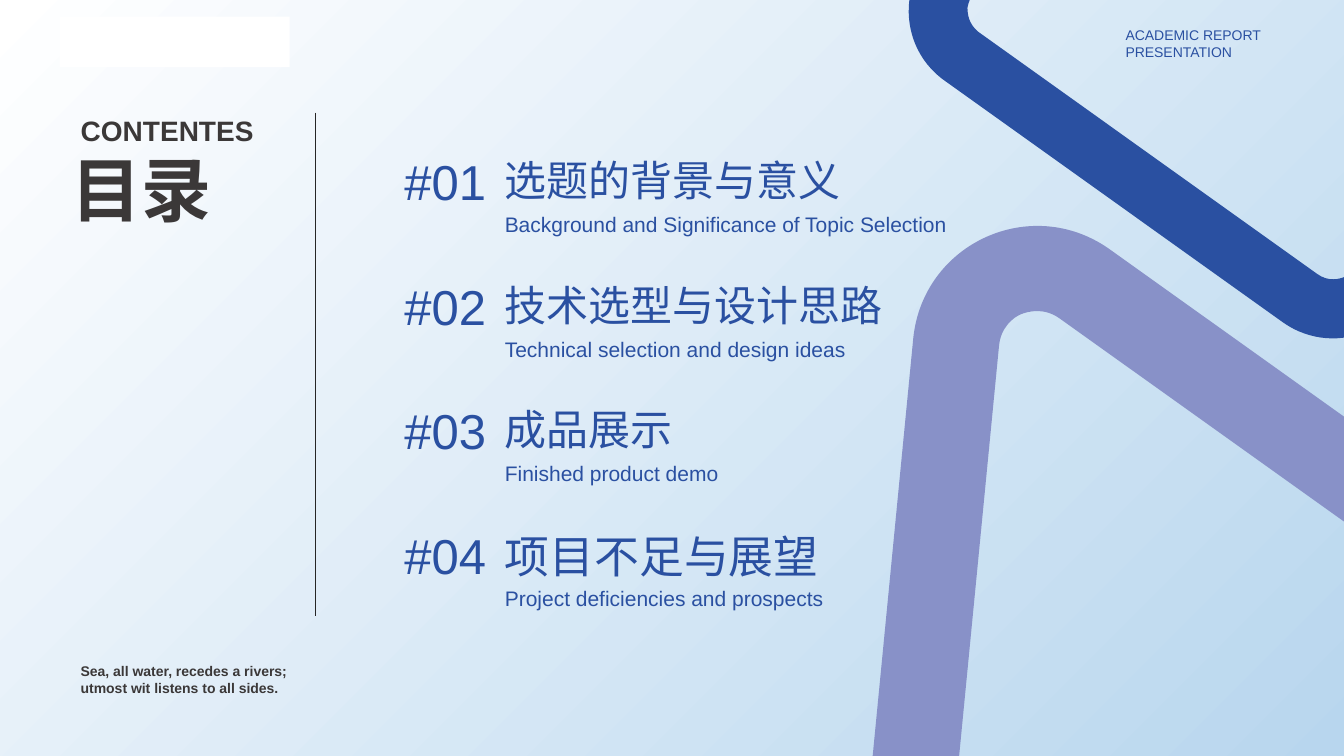
from dataclasses import dataclass
from math import cos, radians, sin
from lxml.etree import SubElement
from pptx import Presentation
from pptx.dml.color import RGBColor
from pptx.enum.shapes import MSO_CONNECTOR, MSO_SHAPE
from pptx.enum.text import MSO_ANCHOR, MSO_AUTO_SIZE, PP_ALIGN
from pptx.oxml.ns import qn
from pptx.util import Emu, Pt

COLS, ROWS = 160, 90
CELL = 76200
BLUE, LILAC, DARK, WHITE = "2A50A1", "8891C8", "3B3838", "FFFFFF"
FONT = "Arial"
TOPIC_PITCH = 14.82
TILT = 35.6
RING_CENTER = (12.59, -0.15)
RING_SIZE = (6.26, 5.28)
UNITS = 1000

Point = tuple[float, float]
Segment = tuple[Point, ...]


@dataclass
class Topic:
    name: str
    name_cols: float
    subtitle: str
    subtitle_cols: float
    size: float = 30


@dataclass
class Label:
    lines: list[str]
    box: tuple[float, float, float, float]
    size: float
    color: str
    bold: bool = False
    align: PP_ALIGN = PP_ALIGN.LEFT


@dataclass
class Ribbon:
    color: str
    col: float
    row: float
    scale: float
    rotation: float


TOPICS = [
    Topic("选题的背景与意义", 40.4, "Background and Significance of Topic Selection", 53.3),
    Topic("技术选型与设计思路", 35.4, "Technical selection and design ideas", 38.8),
    Topic("成品展示", 45.5, "Finished product demo", 50.3),
    Topic("项目不足与展望", 35.4, "Project deficiencies and prospects", 32.3, 32),
]
TITLE = Label(["目录"], (8.5, 17.4, 16.9, 10.1), 50, DARK, True)
LABELS = [
    Label(["CONTENTES"], (9.6, 13.5, 20.8, 4.1), 20, DARK, True),
    Label(["ACADEMIC REPORT", "PRESENTATION"], (134, 3.2, 16.3, 4.1), 10, BLUE),
    Label(["Sea, all water, recedes a rivers;", "utmost wit listens to all sides."],
          (9.6, 78.9, 24.8, 4.1), 10, DARK, True, PP_ALIGN.JUSTIFY),
]
RIBBONS = [
    Ribbon(BLUE, 113.5, -33.5, 1, TILT),
    Ribbon(LILAC, 80.4, 41.9, 1.44, TILT + 180),
]
OUTER_EDGE: list[Segment] = [
    ((14.08, 2.59),),
    ((14.48, -1.52),) * 3,
    ((14.51, -1.85), (14.36, -2.13), (14.12, -2.3)),
    ((13.89, -2.46), (13.57, -2.52), (13.27, -2.38)),
    ((9.52, -0.67),) * 3,
    ((8.92, -0.4), (8.84, 0.42), (9.37, 0.8)),
    ((12.73, 3.2),) * 3,
    ((13.27, 3.58), (14.01, 3.24), (14.08, 2.59)),
]
INNER_EDGE: list[Segment] = [
    ((13.34, 2.75),),
    ((13.29, 2.77), (13.18, 2.8), (13.07, 2.72)),
    ((9.71, 0.32),) * 3,
    ((9.61, 0.24), (9.6, 0.14), (9.6, 0.08)),
    ((9.61, 0.02), (9.64, -0.08), (9.76, -0.14)),
    ((13.52, -1.85),) * 3,
    ((13.64, -1.9), (13.74, -1.85), (13.78, -1.82)),
    ((13.83, -1.79), (13.91, -1.71), (13.89, -1.58)),
    ((13.49, 2.53),) * 3,
    ((13.48, 2.66), (13.39, 2.73), (13.34, 2.75)),
]


def cells(n: float) -> Emu:
    return Emu(round(n * CELL))


def rgb(color: str) -> RGBColor:
    return RGBColor.from_string(color)


def write(sp, label: Label) -> None:
    sp.left, sp.top, sp.width, sp.height = map(cells, label.box)
    tf = sp.text_frame
    tf.margin_left = tf.margin_top = tf.margin_right = tf.margin_bottom = 0
    tf.word_wrap = False
    tf.auto_size = MSO_AUTO_SIZE.NONE
    tf.vertical_anchor = MSO_ANCHOR.TOP
    for i, line in enumerate(label.lines):
        p = tf.add_paragraph() if i else tf.paragraphs[0]
        p.alignment = label.align
        r = p.add_run()
        r.text = line
        r.font.name = FONT
        r.font.size = Pt(label.size)
        r.font.bold = label.bold
        r.font.color.rgb = rgb(label.color)


def add_label(s, label: Label) -> None:
    write(s.shapes.add_textbox(*map(cells, label.box)), label)


def add_panel(s, box: tuple[float, float, float, float]):
    sp = s.shapes.add_shape(MSO_SHAPE.RECTANGLE, *map(cells, box))
    sp.shadow.inherit = False
    sp.line.fill.background()
    return sp


def untilt(pt: Point) -> tuple[int, int]:
    a = radians(TILT)
    dx, dy = pt[0] - RING_CENTER[0], pt[1] - RING_CENTER[1]
    x = RING_SIZE[0] / 2 + dx * cos(a) + dy * sin(a)
    y = RING_SIZE[1] / 2 - dx * sin(a) + dy * cos(a)
    return round(x * UNITS), round(y * UNITS)


def draw_edge(outline, edge: list[Segment]) -> None:
    for seg in edge:
        step = SubElement(outline, qn("a:moveTo" if len(seg) == 1 else "a:cubicBezTo"))
        for x, y in map(untilt, seg):
            SubElement(step, qn("a:pt"), x=str(x), y=str(y))
    SubElement(outline, qn("a:close"))


def add_ribbon(s, ribbon: Ribbon) -> None:
    w, h = (round(n * UNITS) for n in RING_SIZE)
    fb = s.shapes.build_freeform(0, 0, scale=ribbon.scale * CELL * 12 / UNITS)
    fb.add_line_segments([(w, 0), (w, h), (0, h)], close=True)
    sp = fb.convert_to_shape(cells(ribbon.col), cells(ribbon.row))
    outline = next(sp.element.iter(qn("a:path")))
    for child in list(outline):
        outline.remove(child)
    for edge in (OUTER_EDGE, INNER_EDGE):
        draw_edge(outline, edge)
    sp.rotation = ribbon.rotation
    sp.shadow.inherit = False
    sp.fill.solid()
    sp.fill.fore_color.rgb = rgb(ribbon.color)
    sp.line.fill.background()


def add_topic(s, i: int, topic: Topic) -> None:
    drop = i * TOPIC_PITCH
    add_label(s, Label([topic.name], (60.1, 18.45 + drop, topic.name_cols, 6), topic.size, BLUE))
    add_label(s, Label([topic.subtitle], (60.1, 25.2 + drop, topic.subtitle_cols, 3), 15, BLUE))
    add_label(s, Label([f"#{i + 1:02}"], (48.15, 18.05 + drop, 9.8, 7.1), 35, BLUE))


def add_backdrop(s) -> None:
    s.background.fill.solid()
    s.background.fill.fore_color.rgb = rgb(BLUE)
    sp = add_panel(s, (0, 0, COLS, ROWS))
    sp.fill.gradient()
    sp.fill.gradient_angle = 315
    for stop, color, position in zip(sp.fill.gradient_stops, (WHITE, "B8D6EE"), (0, 1)):
        stop.color.rgb = rgb(color)
        stop.position = position
    s.shapes.element.insert(2, sp.element)


def add_divider(s) -> None:
    line = s.shapes.add_connector(MSO_CONNECTOR.STRAIGHT, *map(cells, (37.5, 13.4, 37.5, 73.3)))
    line.line.color.rgb = rgb("262626")
    line.line.width = Pt(0.5)
    SubElement(line.element.spPr, qn("a:effectLst"))


def main() -> None:
    prs = Presentation()
    prs.slide_width, prs.slide_height = cells(COLS), cells(ROWS)
    s = prs.slides.add_slide(prs.slide_layouts[5])
    add_backdrop(s)
    for ribbon in RIBBONS:
        add_ribbon(s, ribbon)
    for i, topic in enumerate(TOPICS):
        add_topic(s, i, topic)
    write(s.shapes.title, TITLE)
    for label in LABELS:
        add_label(s, label)
    add_divider(s)
    plate = add_panel(s, (7.1, 2, 27.4, 6))
    plate.fill.solid()
    plate.fill.fore_color.rgb = rgb(WHITE)
    prs.save("out.pptx")


if __name__ == "__main__":
    main()
